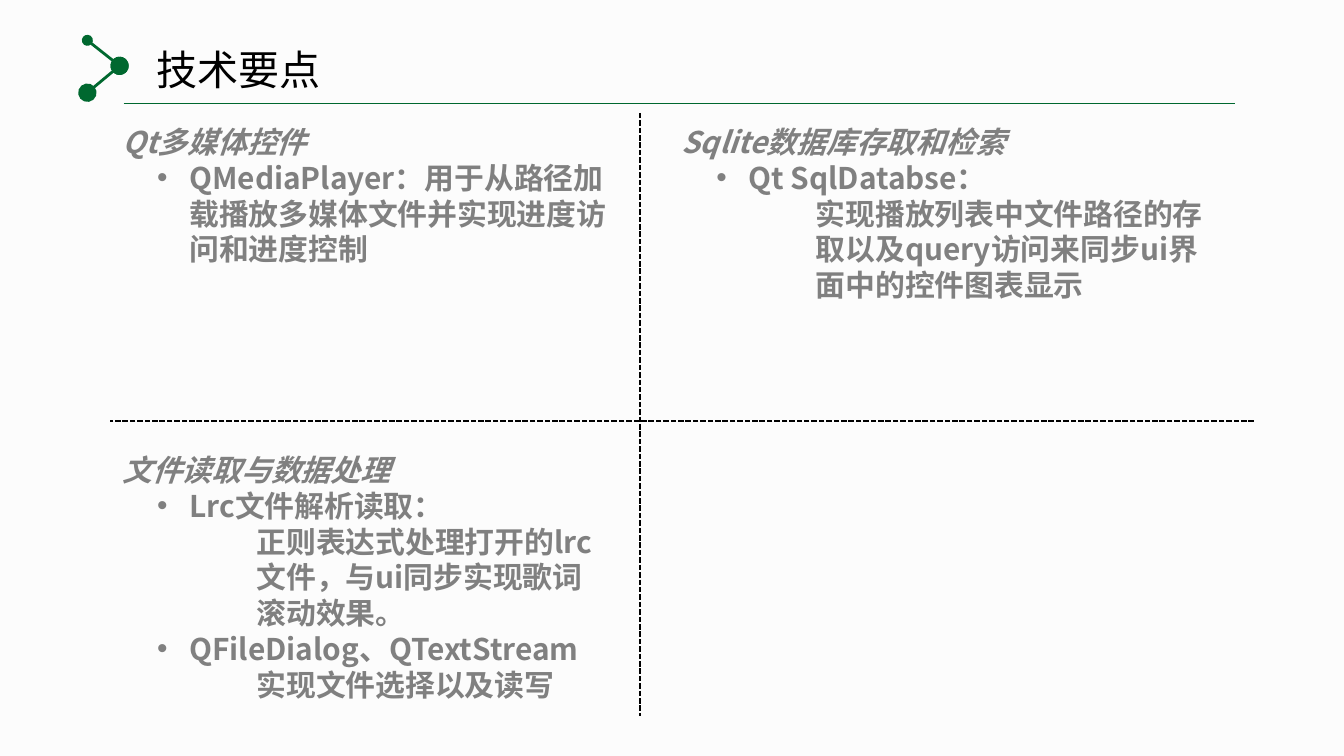
from dataclasses import dataclass

from lxml import etree
from pptx import Presentation
from pptx.dml.color import RGBColor
from pptx.enum import dml, shapes, text
from pptx.oxml import ns
from pptx.util import Inches, Pt


@dataclass(frozen=True)
class Theme:
    back: RGBColor = RGBColor(0xFC, 0xFC, 0xFC)
    green: RGBColor = RGBColor(0x00, 0x68, 0x2F)
    ink: RGBColor = RGBColor(0, 0, 0)
    gray: RGBColor = RGBColor(0x80, 0x80, 0x80)
    font: str = "Noto Sans CJK SC"
    head: int = 22
    body: int = 16
    lead: float = 1.2


THEME = Theme()

TOPICS = [
    (0.91, 0.92, 3.62, 1.08, [
        (0, "Qt多媒体控件"),
        (1, "QMediaPlayer：用于从路径加载播放多媒体文件并实现进度访问和进度控制"),
    ]),
    (0.91, 3.36, 3.61, 1.88, [
        (0, "文件读取与数据处理"),
        (1, "Lrc文件解析读取："),
        (2, "正则表达式处理打开的lrc文件，与ui同步实现歌词滚动效果。"),
        (1, "QFileDialog、QTextStream"),
        (2, "实现文件选择以及读写"),
    ]),
    (5.07, 0.92, 4.02, 1.62, [
        (0, "Sqlite数据库存取和检索"),
        (1, "Qt SqlDatabse："),
        (2, "实现播放列表中文件路径的存取以及query访问来同步ui界面中的控件图表显示"),
    ]),
]


def add_tag(root, name, **attrs):
    return etree.SubElement(root, ns.qn(name), attrs)


def add_line(slide, start, end, color, width, dash=None, ends=()):
    line = slide.shapes.add_connector(
        shapes.MSO_CONNECTOR.STRAIGHT, *map(Inches, start + end))
    line.line.color.rgb = color
    line.line.width = Pt(width)
    if dash:
        line.line.dash_style = dash
    props = line.line._get_or_add_ln()
    for name, size in zip(("a:headEnd", "a:tailEnd"), ends):
        add_tag(props, name, type="oval", w=size, len=size)
    add_tag(line._element.spPr, "a:effectLst")


def add_box(slide, left, top, width, height, inset=(0, 0)):
    box = slide.shapes.add_textbox(*map(Inches, (left, top, width, height)))
    frame = box.text_frame
    frame.word_wrap = True
    frame.margin_left = frame.margin_right = Inches(inset[0])
    frame.margin_top = frame.margin_bottom = Inches(inset[1])
    return frame


def style(para, size, color, bold=False, slant=False):
    para.line_spacing = Pt(round(size * THEME.lead, 1))
    for run in para.runs:
        font = run.font
        font.name = THEME.font
        font.size = Pt(size)
        font.bold = bold
        font.italic = slant
        font.color.rgb = color
        add_tag(run._r.get_or_add_rPr(), "a:ea", typeface=THEME.font)


def add_title(slide, words):
    frame = add_box(slide, 0.75, 0.29, 2.05, 0.45, (0.08, 0.04))
    para = frame.paragraphs[0]
    para.text = words
    para.alignment = text.PP_ALIGN.CENTER
    style(para, THEME.head, THEME.ink)


def add_topic(slide, left, top, width, height, items):
    frame = add_box(slide, left, top, width, height)
    for index, (level, words) in enumerate(items):
        para = frame.add_paragraph() if index else frame.paragraphs[0]
        para.text = words
        para.level = level
        props = para._p.get_or_add_pPr()
        props.set("marL", str(Inches(0.5 * level)))
        props.set("indent", str(Inches(-0.24 if level == 1 else 0)))
        if level == 1:
            add_tag(props, "a:buFont", typeface="Arial")
            add_tag(props, "a:buChar", char="•")
        else:
            add_tag(props, "a:buNone")
        style(para, THEME.body, THEME.gray, True, level == 0)


def add_mark(slide):
    tip = (0.89, 0.49)
    add_line(slide, (0.65, 0.3), tip, THEME.green, 1.5, ends=("med", "lg"))
    add_line(slide, tip, (0.65, 0.69), THEME.green, 1.5, ends=("lg", "lg"))


def main():
    deck = Presentation()
    deck.slide_width = Inches(10)
    deck.slide_height = Inches(10 * 9 / 16)
    slide = deck.slides.add_slide(deck.slide_layouts[6])
    slide.background.fill.solid()
    slide.background.fill.fore_color.rgb = THEME.back
    add_mark(slide)
    add_line(slide, (0.92, 0.77), (9.19, 0.77), THEME.green, 1)
    add_title(slide, "技术要点")
    for topic in TOPICS:
        add_topic(slide, *topic)
    dash = dml.MSO_LINE.SQUARE_DOT
    add_line(slide, (4.76, 0.84), (4.76, 5.33), THEME.ink, 1, dash)
    add_line(slide, (9.33, 3.13), (0.82, 3.13), THEME.ink, 1, dash)
    deck.save("out.pptx")


if __name__ == "__main__":
    main()
